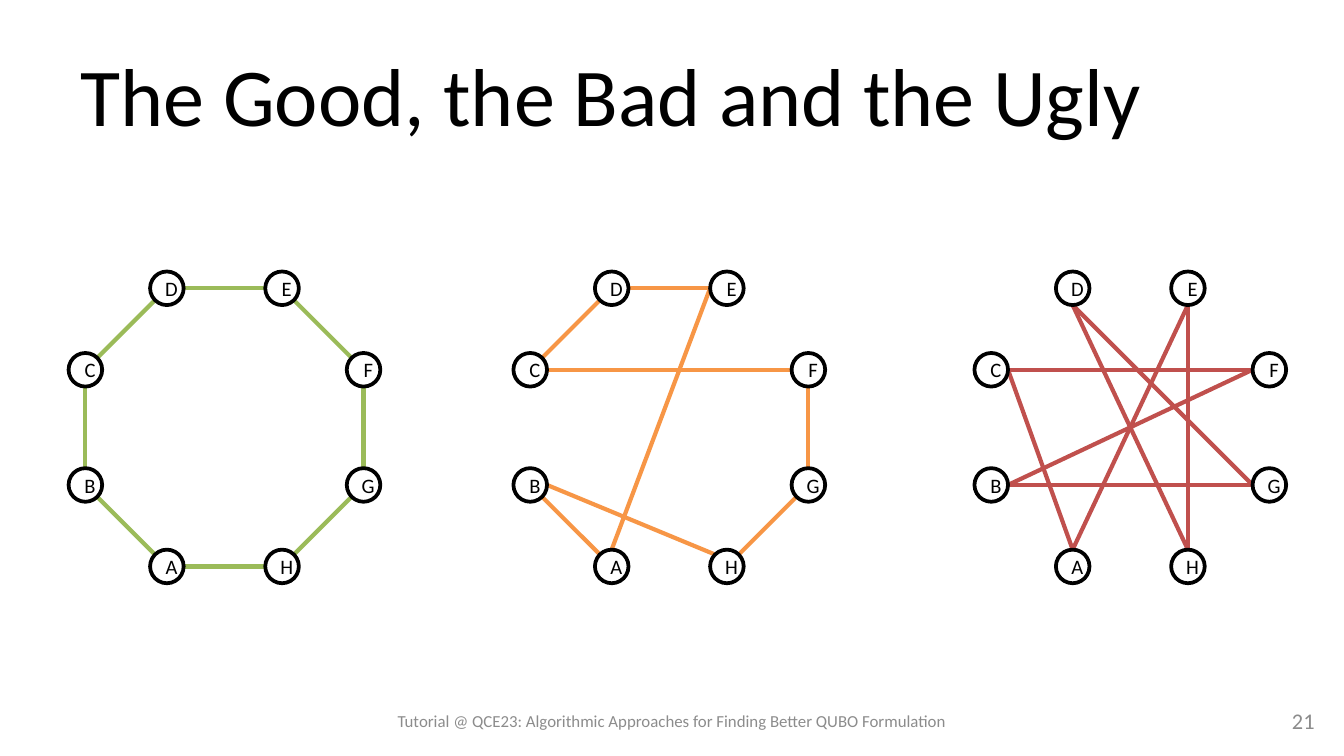
from math import cos, radians, sin

from lxml import etree
from pptx import Presentation
from pptx.dml.color import RGBColor
from pptx.enum.shapes import MSO_CONNECTOR, MSO_SHAPE
from pptx.enum.text import MSO_ANCHOR, MSO_AUTO_SIZE, PP_ALIGN
from pptx.oxml.ns import qn
from pptx.util import Inches, Pt

STRAIGHT, OVAL = MSO_CONNECTOR.STRAIGHT, MSO_SHAPE.OVAL
MIDDLE, NO_AUTOFIT = MSO_ANCHOR.MIDDLE, MSO_AUTO_SIZE.NONE
LEFT, CENTER, RIGHT = PP_ALIGN.LEFT, PP_ALIGN.CENTER, PP_ALIGN.RIGHT

COLORS = {"ink": "000000", "paper": "FFFFFF", "muted": "8C8C8C",
          "good": "9BBB59", "bad": "F79646", "ugly": "C0504D"}
FONT = "Calibri"

TITLE = "The Good, the Bad and the Ugly"
FOOTER = "Tutorial @ QCE23: Algorithmic Approaches for Finding Better QUBO Formulation"
PAGE_NUMBER = "21"

NODES = "ABCDEFGH"  # clockwise from the lower left
# Each edge: node and side where it starts, node and side where it ends
TOURS = [
    {"color": "ugly", "center_x": 8.41, "edges": [
        "A top E bottom", "H top E bottom", "H top D bottom", "G left D bottom",
        "G left B right", "F left B right", "F left C right", "A top C right"]},
    {"color": "bad", "center_x": 4.98, "edges": [
        "A top E left", "D right E left", "D bottom-left C top-right",
        "G bottom-left H top-right", "F bottom G top", "F left C right",
        "H top-left B right", "A top-left B bottom-right"]},
    {"color": "good", "center_x": 1.67, "edges": [
        "A top-left B bottom-right", "B top C bottom", "C top-right D bottom-left",
        "D right E left", "E bottom-right F top-left", "F bottom G top",
        "G bottom-left H top-right", "H left A right"]},
]

CENTER_Y = 3.18
RING_RADIUS = 1.12
NODE_SIZE = 0.25
SIDES = ["right", "bottom-right", "bottom", "bottom-left",
         "left", "top-left", "top", "top-right"]
SIDE_ANGLES = {side: 45 * i for i, side in enumerate(SIDES)}
NODE_ANGLES = {node: 112.5 + 45 * i for i, node in enumerate(NODES)}


def rgb(name):
    return RGBColor.from_string(COLORS[name])


def polar(center, radius, degrees):
    x, y = center
    return x + radius * cos(radians(degrees)), y + radius * sin(radians(degrees))


def write(shape, text, size, color, align, insets=(0.1, 0.05, 0.1, 0.05), wrap=True):
    """Fill a shape with one line; insets are left, top, right, bottom."""
    frame = shape.text_frame
    frame.text = text
    left, top, right, bottom = map(Inches, insets)
    frame_format = {"auto_size": NO_AUTOFIT, "word_wrap": wrap, "vertical_anchor": MIDDLE,
                    "margin_left": left, "margin_top": top,
                    "margin_right": right, "margin_bottom": bottom}
    for key, value in frame_format.items():
        setattr(frame, key, value)
    paragraph = frame.paragraphs[0]
    paragraph.alignment = align
    font = paragraph.runs[0].font
    for key, value in {"name": FONT, "size": Pt(size), "bold": False}.items():
        setattr(font, key, value)
    font.color.rgb = rgb(color)


def add_edge(group, start, end, color):
    edge = group.shapes.add_connector(STRAIGHT, *map(Inches, start + end))
    edge.line.color.rgb = rgb(color)
    edge.line.width = Pt(2.25)
    etree.SubElement(edge._element.spPr, qn("a:effectLst"))


def add_node(group, letter, center):
    x, y = center
    node = group.shapes.add_shape(OVAL, Inches(x - NODE_SIZE / 2), Inches(y - NODE_SIZE / 2),
                                  Inches(NODE_SIZE), Inches(NODE_SIZE))
    node.shadow.inherit = False
    node.fill.solid()
    node.fill.fore_color.rgb = rgb("paper")
    node.line.color.rgb = rgb("ink")
    node.line.width = Pt(2)
    write(node, letter, 11, "ink", CENTER, insets=(0.07, 0, 0, 0), wrap=False)


def add_tour(slide, color, center_x, edges):
    group = slide.shapes.add_group_shape()
    centers = {node: polar((center_x, CENTER_Y), RING_RADIUS, angle)
               for node, angle in NODE_ANGLES.items()}
    for edge in edges:
        start, start_side, end, end_side = edge.split()
        add_edge(group,
                 polar(centers[start], NODE_SIZE / 2, SIDE_ANGLES[start_side]),
                 polar(centers[end], NODE_SIZE / 2, SIDE_ANGLES[end_side]), color)
    for letter, center in centers.items():
        add_node(group, letter, center)


def main():
    deck = Presentation()
    deck.slide_width = Inches(10)
    deck.slide_height = deck.slide_width * 9 // 16
    slide = deck.slides.add_slide(deck.slide_layouts.get_by_name("Title Only"))

    title = slide.shapes.title
    title.left, title.top, title.width, title.height = map(Inches, (0.5, 0.23, 9, 0.94))
    write(title, TITLE, 44, "ink", LEFT)

    page_number = slide.shapes.add_textbox(*map(Inches, (9.17, 5.21, 0.71, 0.3)))
    write(page_number, PAGE_NUMBER, 12, "muted", RIGHT)

    for tour in TOURS:
        add_tour(slide, **tour)

    footer = slide.shapes.add_textbox(*map(Inches, (2.8, 5.21, 4.39, 0.3)))
    write(footer, FOOTER, 9, "muted", CENTER, insets=(0.07, 0.04, 0.07, 0.04))

    deck.save("out.pptx")


if __name__ == "__main__":
    main()
